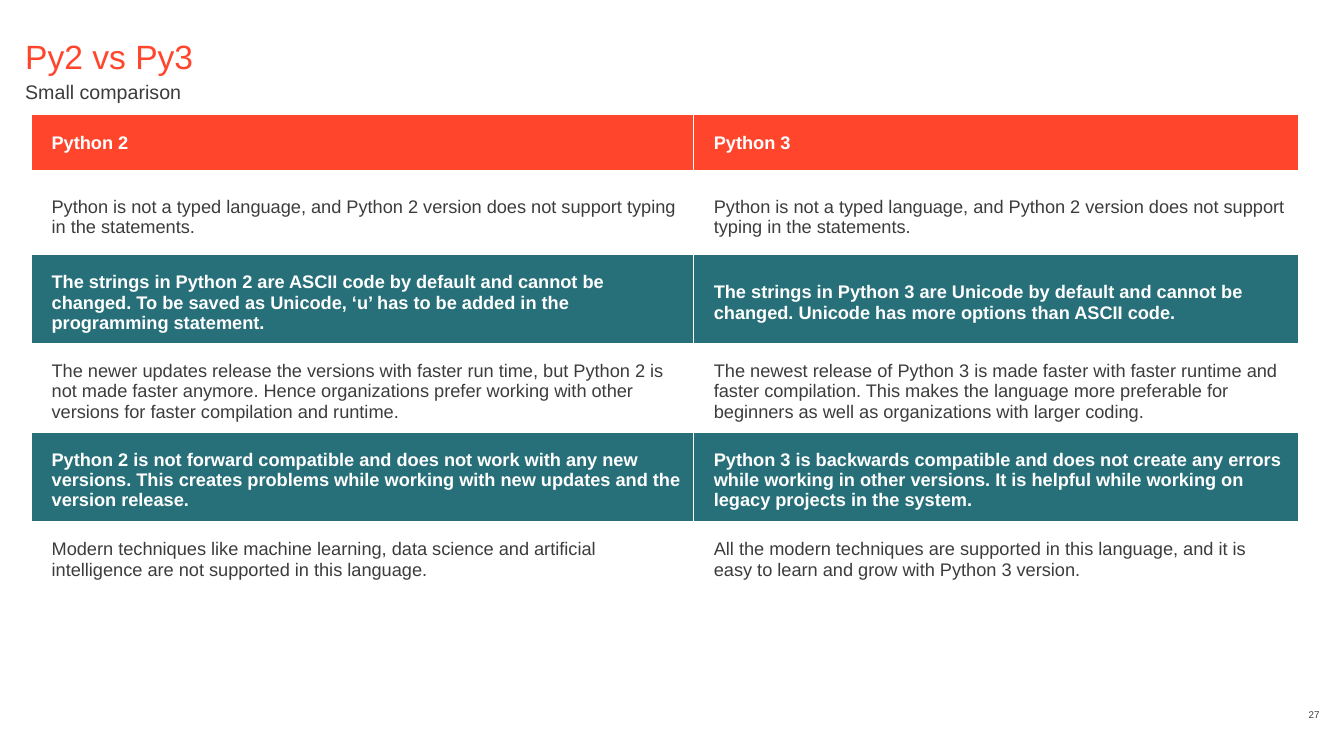
from lxml import etree
from pptx import Presentation
from pptx.dml.color import RGBColor
from pptx.enum.text import MSO_ANCHOR, PP_ALIGN
from pptx.oxml.ns import qn
from pptx.util import Pt

TOP, MIDDLE, BOTTOM = MSO_ANCHOR.TOP, MSO_ANCHOR.MIDDLE, MSO_ANCHOR.BOTTOM
LEFT, RIGHT = PP_ALIGN.LEFT, PP_ALIGN.RIGHT

WHITE = RGBColor(0xFF, 0xFF, 0xFF)
CORAL = RGBColor(0xFF, 0x46, 0x2D)
TEAL = RGBColor(0x28, 0x70, 0x79)
INK = RGBColor(0x3D, 0x3C, 0x3C)

COLUMN_WIDTHS = [473, 432]
ROW_HEIGHTS = [41, 59, 60, 60.5, 60, 50]
COMPARISON = [
    ("Python 2", "Python 3"),
    ("Python is not a typed language, and Python 2 version does not support typing in the statements.",
     "Python is not a typed language, and Python 2 version does not support typing in the statements."),
    ("The strings in Python 2 are ASCII code by default and cannot be changed. "
     "To be saved as Unicode, ‘u’ has to be added in the programming statement.",
     "The strings in Python 3 are Unicode by default and cannot be changed. "
     "Unicode has more options than ASCII code."),
    ("The newer updates release the versions with faster run time, but Python 2 is not made faster anymore. "
     "Hence organizations prefer working with other versions for faster compilation and runtime.",
     "The newest release of Python 3 is made faster with faster runtime and faster compilation. "
     "This makes the language more preferable for beginners as well as organizations with larger coding."),
    ("Python 2 is not forward compatible and does not work with any new versions. "
     "This creates problems while working with new updates and the version release.",
     "Python 3 is backwards compatible and does not create any errors while working in other versions. "
     "It is helpful while working on legacy projects in the system."),
    ("Modern techniques like machine learning, data science and artificial intelligence "
     "are not supported in this language.",
     "All the modern techniques are supported in this language, "
     "and it is easy to learn and grow with Python 3 version."),
]


class SlideBuilder:
    font_name = "Arial"
    table_size = 13

    def __init__(self, page):
        self.page = page

    def set_text(self, frame, text, size, color, bold=False, align=LEFT):
        frame.word_wrap = True
        para = frame.paragraphs[0]
        para.text = text
        para.alignment = align
        para.font.name = self.font_name
        para.font.size = Pt(size)
        para.font.bold = bold
        para.font.color.rgb = color

    def text(self, text, left, top, width, height, size, color, align=LEFT, anchor=TOP):
        box = self.page.shapes.add_textbox(Pt(left), Pt(top), Pt(width), Pt(height))
        frame = box.text_frame
        frame.margin_left = frame.margin_top = frame.margin_right = frame.margin_bottom = 0
        frame.vertical_anchor = anchor
        self.set_text(frame, text, size, color, align=align)

    def borders(self, cell, bottom_width):
        properties = cell._tc.get_or_add_tcPr()
        for side, width in (("L", 1), ("R", 1), ("T", 1), ("B", bottom_width)):
            line = etree.SubElement(properties, qn(f"a:ln{side}"), w=str(Pt(width)))
            fill = etree.SubElement(line, qn("a:solidFill"))
            etree.SubElement(fill, qn("a:srgbClr"), val=str(WHITE))

    def cell(self, cell, text, is_header, is_banded):
        strong = is_header or is_banded
        cell.margin_left, cell.margin_right = Pt(14.4), Pt(7.2)
        cell.margin_top, cell.margin_bottom = Pt(5.76 if is_header else 10.8), Pt(5.76)
        cell.vertical_anchor = MIDDLE
        self.borders(cell, 3 if is_header else 1)
        cell.fill.solid()
        cell.fill.fore_color.rgb = CORAL if is_header else TEAL if is_banded else WHITE
        self.set_text(cell.text_frame, text, self.table_size, WHITE if strong else INK, strong)

    def table(self, rows, left, top, widths, heights):
        table = self.page.shapes.add_table(
            len(rows), len(widths), Pt(left), Pt(top), Pt(sum(widths)), Pt(sum(heights))
        ).table
        for column, width in zip(table.columns, widths):
            column.width = Pt(width)
        for row_index, (texts, height) in enumerate(zip(rows, heights)):
            table.rows[row_index].height = Pt(height)
            is_header = row_index == 0
            is_banded = not is_header and row_index % 2 == 0
            for column_index, text in enumerate(texts):
                self.cell(table.cell(row_index, column_index), text, is_header, is_banded)


def main():
    deck = Presentation()
    deck.slide_width, deck.slide_height = Pt(960), Pt(540)
    builder = SlideBuilder(deck.slides.add_slide(deck.slide_layouts[6]))
    builder.text("27", 922, 497.5, 20.5, 17, 7, INK, RIGHT, BOTTOM)
    builder.text("Py2 vs Py3", 18, 26, 822, 22, 24, CORAL)
    builder.text("Small comparison", 18, 57, 822, 24, 14, INK)
    builder.table(COMPARISON, 22.5, 82, COLUMN_WIDTHS, ROW_HEIGHTS)
    deck.save("out.pptx")


if __name__ == "__main__":
    main()
